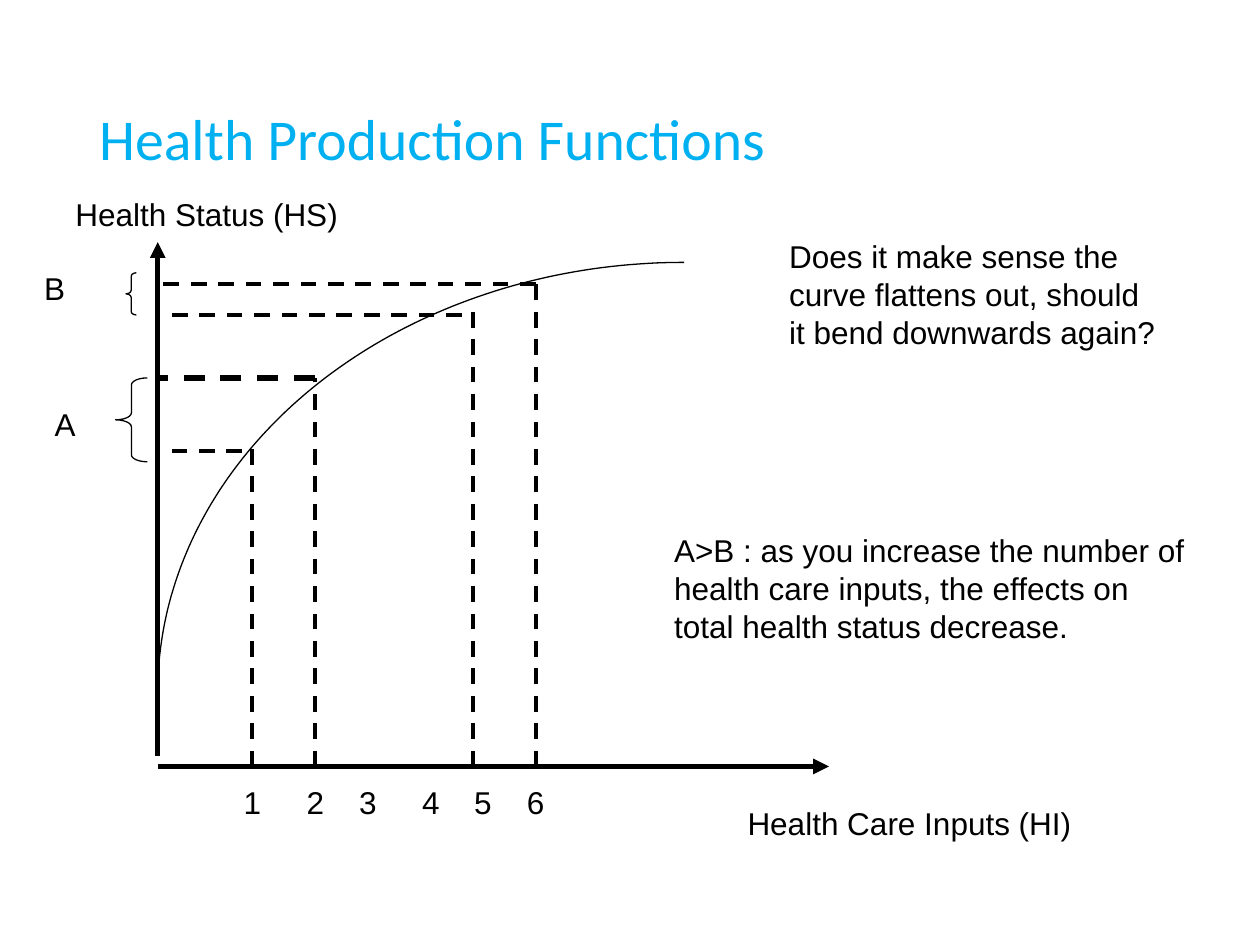
import math

from lxml import etree
from pptx import Presentation
from pptx import util as u
from pptx.dml.color import RGBColor
from pptx.enum import dml, shapes, text
from pptx.oxml.ns import qn

BLACK = "000000"


def rgb(value):
    return RGBColor.from_string(value)


class Sketch:
    font = "Arial"
    size = 18
    thin = 0.75

    def __init__(self, prs):
        self.s = prs.slides.add_slide(prs.slide_layouts[6])

    def title(self, words, x, y, w, h):
        tf = self.label(words, x, y, w, h, "Calibri", 33, "00B0F0")
        tf.auto_size = text.MSO_AUTO_SIZE.NONE
        tf.vertical_anchor = text.MSO_ANCHOR.MIDDLE
        tf.paragraphs[0].line_spacing = 0.9

    def label(self, words, x, y, w, h=1.02, font=font, size=size, color=BLACK):
        tf = self.s.shapes.add_textbox(u.Cm(x), u.Cm(y), u.Cm(w), u.Cm(h)).text_frame
        tf.word_wrap = True
        tf.auto_size = text.MSO_AUTO_SIZE.SHAPE_TO_FIT_TEXT
        p = tf.paragraphs[0]
        p.text = words
        p.font.name = font
        p.font.size = u.Pt(size)
        p.font.color.rgb = rgb(color)
        return tf

    def line(self, x1, y1, x2, y2, width=2.25, dash=True, arrow=False):
        c = self.s.shapes.add_connector(
            shapes.MSO_CONNECTOR.STRAIGHT, u.Cm(x1), u.Cm(y1), u.Cm(x2), u.Cm(y2))
        c.line.color.rgb = rgb(BLACK)
        c.line.width = u.Pt(width)
        if dash:
            c.line.dash_style = dml.MSO_LINE.DASH
        if arrow:
            etree.SubElement(c.line._get_or_add_ln(), qn("a:tailEnd"), type="triangle")
        etree.SubElement(c._element.spPr, qn("a:effectLst"))

    def axis(self, x1, y1, x2, y2):
        self.line(x1, y1, x2, y2, 3, dash=False, arrow=True)

    def outline(self, sp):
        sp.shadow.inherit = False
        sp.fill.background()
        sp.line.color.rgb = rgb(BLACK)
        sp.line.width = u.Pt(self.thin)

    def curve(self, x, y, w, h, steps=90):
        angles = [math.pi / 2 * i / steps for i in range(steps + 1)]
        points = [(u.Cm(x + w * (1 - math.cos(a))), u.Cm(y + h * (1 - math.sin(a))))
                  for a in angles]
        builder = self.s.shapes.build_freeform(*points[0])
        builder.add_line_segments(points[1:], close=False)
        self.outline(builder.convert_to_shape())

    def brace(self, x, y, w, h):
        sp = self.s.shapes.add_shape(
            shapes.MSO_SHAPE.LEFT_BRACE, u.Cm(x), u.Cm(y), u.Cm(w), u.Cm(h))
        sp.adjustments[0] = h / 12 / w
        self.outline(sp)


def main():
    prs = Presentation()
    prs.slide_width, prs.slide_height = u.Cm(25.4), u.Cm(19.05)
    sketch = Sketch(prs)
    sketch.title("Health Production Functions", 1.75, 1.02, 21.92, 3.68)

    left, base = 3.18, 15.45
    sketch.axis(left, 15.24, left, 4.88)
    sketch.axis(left, base, 16.71, base)
    sketch.label("Health Care Inputs (HI)", 14.82, 16.09, 7.41)
    sketch.label("Health Status (HS)", 1.27, 3.81, 6.56)
    sketch.curve(left, 5.29, 10.61, 8.68)

    for i, x in enumerate([4.66, 5.93, 6.99, 8.26, 9.31, 10.37], 1):
        sketch.label(str(i), x, 15.66, 0.85)

    for x, top in [(5.08, 8.89), (6.35, 7.62), (9.53, 6.14), (10.8, 5.72)]:
        sketch.line(x, base, x, top)
    for x1, x2, y, width in [(4.88, 3.39, 9.1, 2.25), (6.35, left, 7.62, 3),
                             (9.31, left, 6.35, 2.25), (10.8, left, 5.72, 2.25)]:
        sketch.line(x1, y, x2, y, width)

    sketch.label("A", 0.85, 8.04, 0.99)
    sketch.label("B", 0.64, 5.29, 1.27)
    sketch.brace(2.33, 7.62, 0.64, 1.69)
    sketch.brace(2.54, 5.5, 0.21, 0.85)

    sketch.label("A>B : as you increase the number of health care inputs, "
                 "the effects on total health status decrease.", 13.34, 10.58, 11.01, 2.54)
    sketch.label("Does it make sense the curve flattens out, "
                 "should it bend downwards again?", 15.66, 4.66, 8.04, 2.54)
    prs.save("out.pptx")


if __name__ == "__main__":
    main()
